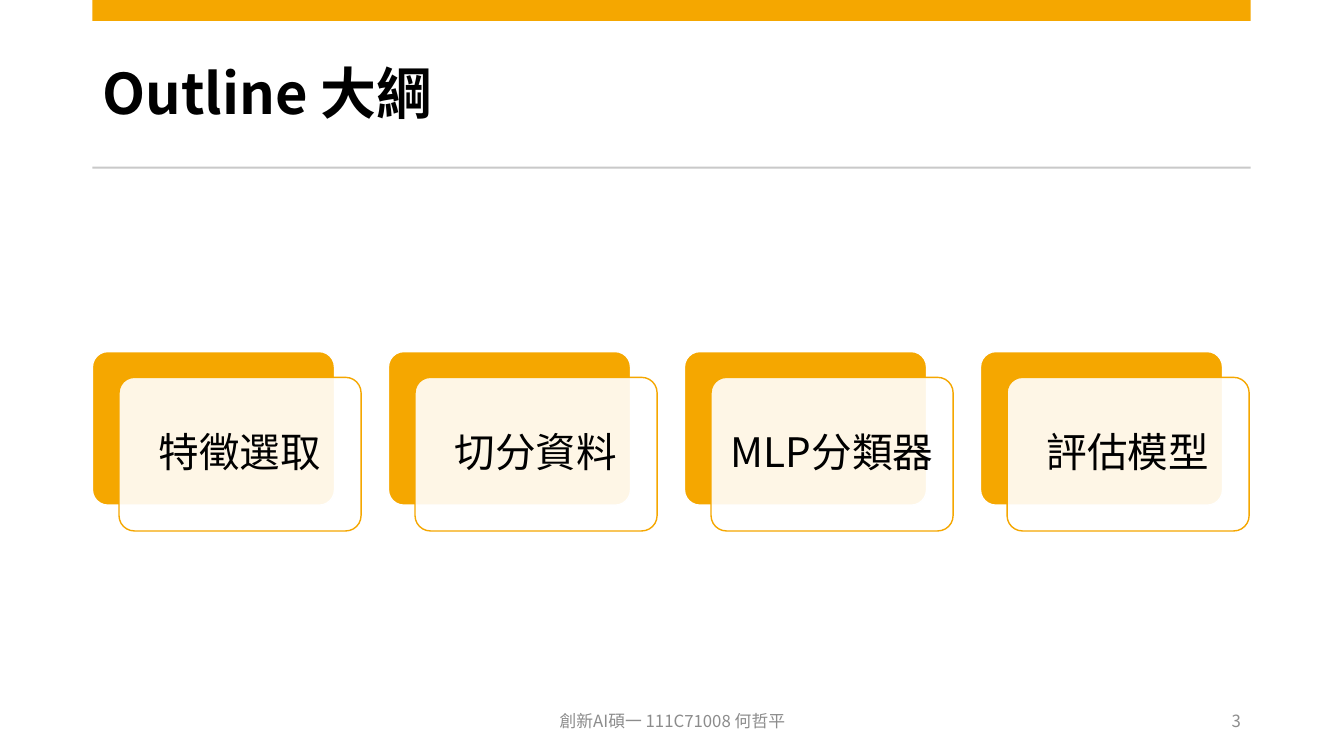
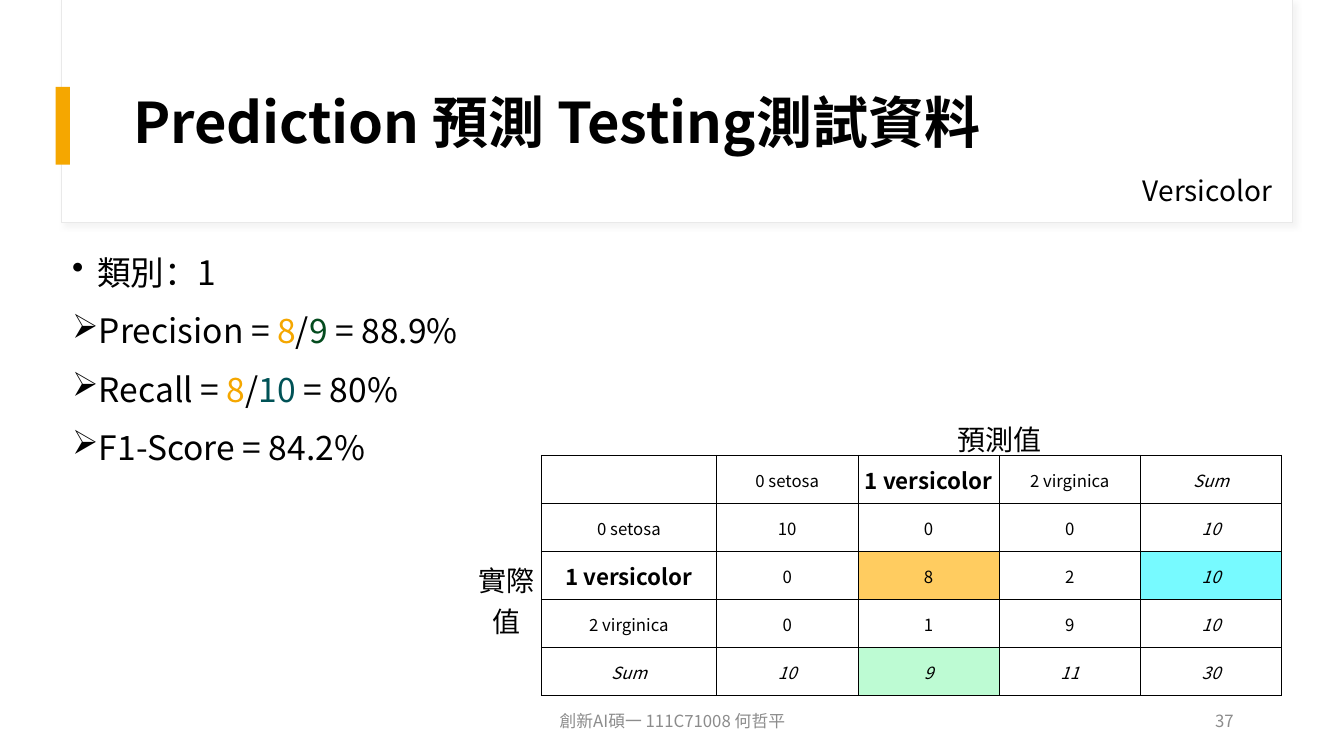
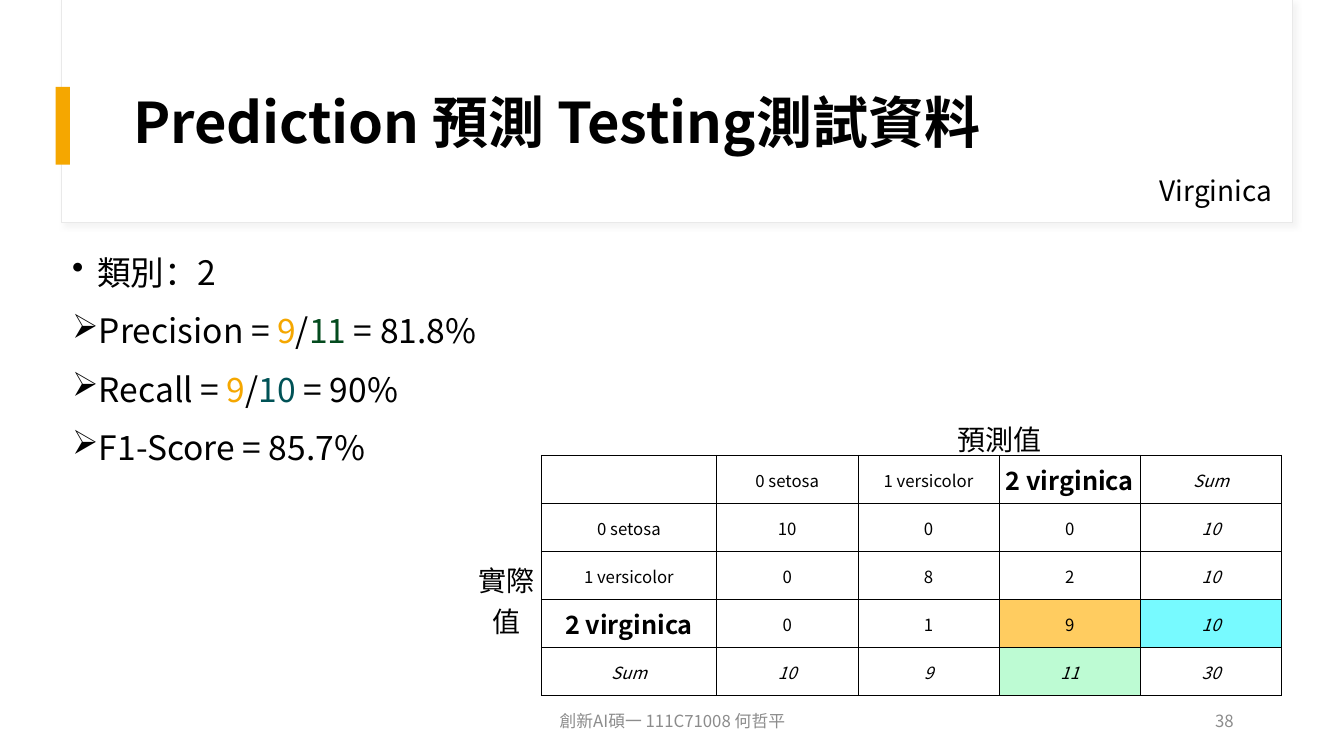
import lxml.etree
import pptx
import pptx.dml.color
import pptx.enum.shapes
import pptx.enum.text
import pptx.oxml.ns
import pptx.util

Cm = pptx.util.Cm
Pt = pptx.util.Pt
qn = pptx.oxml.ns.qn
SHAPE = pptx.enum.shapes.MSO_SHAPE
ALIGN = pptx.enum.text.PP_ALIGN
ANCHOR = pptx.enum.text.MSO_ANCHOR

FONT = "Noto Sans CJK SC"
COLORS = {
    "white": "FFFFFF", "text": "000000", "muted": "8C8C8C",
    "accent": "F5A700", "rule": "C9C9C9", "frame": "E9E9E9",
    "shadow": "D9D9D9", "green": "044B1E", "teal": "005256",
    "hit": "FFCC60", "actual": "77FAFF", "predicted": "BDFBD3",
}
FOOTER = "創新AI碩一 111C71008 何哲平"
STEPS = ["特徵選取", "切分資料", "MLP分類器", "評估模型"]
CLASSES = ["setosa", "versicolor", "virginica"]
CONFUSION = [[10, 0, 0], [0, 8, 2], [0, 1, 9]]
ROW_SUMS = [sum(row) for row in CONFUSION]
COL_SUMS = [sum(col) for col in zip(*CONFUSION)]


def rgb(name):
    return pptx.dml.color.RGBColor.from_string(COLORS[name])


def add_xml(parent, tag, **attrs):
    return lxml.etree.SubElement(parent, qn(tag), attrs)


# Text
def add_run(p, text, size, color="text", bold=False, italic=False):
    r = p.add_run()
    r.text = text
    r.font.size = Pt(size)
    r.font.bold = bold
    r.font.italic = italic
    r.font.color.rgb = rgb(color)
    r.font.name = FONT
    add_xml(r.font._element, "a:ea", typeface=FONT)


def add_text(s, box, text="", size=12, color="text", align=ALIGN.LEFT,
             anchor=ANCHOR.TOP):
    tf = s.shapes.add_textbox(*map(Cm, box)).text_frame
    tf.word_wrap = True
    tf.vertical_anchor = anchor
    p = tf.paragraphs[0]
    p.alignment = align
    if text:
        add_run(p, text, size, color)
    return tf


def add_bullet(p, char, runs):
    p.line_spacing = 1.1
    p.space_before = Pt(10)
    pPr = p._p.get_or_add_pPr()
    pPr.set("marL", str(Cm(0.63)))
    pPr.set("indent", str(-Cm(0.63)))
    add_xml(pPr, "a:buChar", char=char)
    for text, color in runs:
        add_run(p, text, 24, color)


# Shapes
def add_block(s, box, fill, line=None, width=1, kind=SHAPE.RECTANGLE):
    sp = s.shapes.add_shape(kind, *map(Cm, box))
    sp.shadow.inherit = False
    sp.fill.solid()
    sp.fill.fore_color.rgb = rgb(fill)
    if line:
        sp.line.color.rgb = rgb(line)
        sp.line.width = Pt(width)
    else:
        sp.line.fill.background()
    return sp


def add_header_frame(s):
    sp = add_block(s, (1.56, 0, 31.01, 5.61), "white", "frame", 0.75)
    effects = sp.element.spPr.find(qn("a:effectLst"))
    shadow = add_xml(effects, "a:outerShdw", blurRad=str(Pt(4)),
                     dist=str(Pt(3)), dir="2700000", algn="tl", rotWithShape="0")
    color = add_xml(shadow, "a:srgbClr", val=COLORS["shadow"])
    add_xml(color, "a:alpha", val="30000")
    add_block(s, (1.4, 2.19, 0.36, 1.96), "accent")


def add_step(s, left, top, text):
    width, height = 6.1, 3.87
    back = add_block(s, (left, top, width, height), "accent", "white",
                     kind=SHAPE.ROUNDED_RECTANGLE)
    front = add_block(s, (left + 0.67, top + 0.65, width, height), "white",
                      "accent", kind=SHAPE.ROUNDED_RECTANGLE)
    for sp in (back, front):
        sp.adjustments[0] = 0.1
    add_xml(front.element.spPr.find(".//" + qn("a:srgbClr")), "a:alpha", val="90000")
    tf = front.text_frame
    tf.word_wrap = True
    tf.vertical_anchor = ANCHOR.MIDDLE
    tf.margin_left = tf.margin_right = tf.margin_top = tf.margin_bottom = Cm(0.3)
    p = tf.paragraphs[0]
    p.alignment = ALIGN.CENTER
    p.line_spacing = 0.9
    add_run(p, text, 29)


# Slide frame: title, footer and number
def add_slide(prs, title, box, number, right, framed=False):
    s = prs.slides.add_slide(prs.slide_layouts[5])
    if framed:
        add_header_frame(s)
    sp = s.shapes.title
    s.shapes._spTree.append(sp.element)
    sp.left, sp.top, sp.width, sp.height = map(Cm, box)
    tf = sp.text_frame
    tf.word_wrap = True
    tf.auto_size = pptx.enum.text.MSO_AUTO_SIZE.NONE
    tf.vertical_anchor = ANCHOR.MIDDLE
    p = tf.paragraphs[0]
    p.alignment = ALIGN.LEFT
    p.line_spacing = 0.9
    add_run(p, title, 40, bold=True)
    add_text(s, (11.23, 17.66, 11.43, 1.01), FOOTER, 12, "muted",
             ALIGN.CENTER, ANCHOR.MIDDLE)
    add_text(s, (right - 7.5, 17.66, 7.5, 1.01), str(number), 12, "muted",
             ALIGN.RIGHT, ANCHOR.MIDDLE)
    return s


# Confusion matrix
def set_borders(cell, sides):
    tcPr = cell._tc.get_or_add_tcPr()
    for i, side in enumerate("LRTB"):
        ln = add_xml(tcPr, f"a:ln{side}", w=str(Pt(0.5)))
        if side in sides:
            fill = add_xml(ln, "a:solidFill")
            add_xml(fill, "a:srgbClr", val=COLORS["text"])
        else:
            add_xml(ln, "a:noFill")
        tcPr.insert(i, ln)


def format_cell(cell, text, size, fill=None, bold=False, italic=False):
    cell.margin_left = cell.margin_right = cell.margin_top = Cm(0.03)
    cell.margin_bottom = 0
    cell.vertical_anchor = ANCHOR.MIDDLE
    if fill:
        cell.fill.solid()
        cell.fill.fore_color.rgb = rgb(fill)
    else:
        cell.fill.background()
    p = cell.text_frame.paragraphs[0]
    p.alignment = ALIGN.CENTER
    if text:
        add_run(p, text, size, bold=bold, italic=italic)


def add_matrix(s, target, label_size):
    labels = [f"{i} {name}" for i, name in enumerate(CLASSES)] + ["Sum"]
    body = [row + [total] for row, total in zip(CONFUSION, ROW_SUMS)]
    body.append(COL_SUMS + [sum(COL_SUMS)])
    rows = [["", "", "預測值", "", "", ""], ["", ""] + labels]
    rows += [["", label] + [str(v) for v in values]
             for label, values in zip(labels, body)]
    rows[2][0] = "實際值"
    hit, last = target + 2, 5
    fills = {(hit, hit): "hit", (hit, last): "actual", (last, hit): "predicted"}

    widths = [1.73, 4.42] + [3.56] * 4
    heights = [0.98] + [1.21] * 5
    table = s.shapes.add_table(6, 6, Cm(11.91), Cm(10.49), Cm(sum(widths)),
                               Cm(sum(heights))).table
    table.first_row = table.horz_banding = False
    for col, width in zip(table.columns, widths):
        col.width = Cm(width)
    for row, height in zip(table.rows, heights):
        row.height = Cm(height)
    for i, row in enumerate(rows):
        for j, text in enumerate(row):
            cell = table.cell(i, j)
            axis = i == 0 or j == 0
            label = (i, j) in ((1, hit), (hit, 1))
            size = 20 if axis else label_size if label else 12
            format_cell(cell, text, size, fills.get((i, j)), bold=label,
                        italic=not axis and last in (i, j))
            sides = "" if axis else "LT"
            sides += ("R" if i else "") + ("B" if j else "")
            set_borders(cell, sides)
    table.cell(0, 2).merge(table.cell(0, 5))
    table.cell(2, 0).merge(table.cell(5, 0))


# Slides
def outline_slide(prs):
    left, width = 2.33, 29.19
    s = add_slide(prs, "Outline 大綱", (left, 0.94, width, 3), 3, left + width)
    add_block(s, (left, 0, width, 0.53), "accent")
    add_block(s, (left, 4.2, width, 0.05), "rule")
    for i, text in enumerate(STEPS):
        add_step(s, left + i * 7.46, 8.86, text)


def prediction_slide(prs, target, number, label_size):
    s = add_slide(prs, "Prediction 預測 Testing測試資料", (3.1, 1.52, 28.24, 3.28),
                  number, 31.34, framed=True)
    hits = CONFUSION[target][target]
    predicted, actual = COL_SUMS[target], ROW_SUMS[target]
    f1 = 2 * hits / (predicted + actual)
    lines = [
        ("•", [(f"類別：{target}", "text")]),
        ("➢", [("Precision = ", "text"), (str(hits), "accent"), ("/", "text"),
               (str(predicted), "green"), (f" = {hits / predicted:.1%}", "text")]),
        ("➢", [("Recall = ", "text"), (str(hits), "accent"), ("/", "text"),
               (str(actual), "teal"), (f" = {hits / actual:.0%}", "text")]),
        ("➢", [(f"F1-Score = {f1:.1%}", "text")]),
    ]
    tf = add_text(s, (1.57, 6.12, 28.24, 10.26))
    for i, (char, runs) in enumerate(lines):
        add_bullet(tf.add_paragraph() if i else tf.paragraphs[0], char, runs)
    add_text(s, (27.33, 4.24, 4.98, 1.12), CLASSES[target].capitalize(), 20,
             align=ALIGN.RIGHT)
    add_matrix(s, target, label_size)


def main():
    prs = pptx.Presentation()
    prs.slide_width, prs.slide_height = Cm(33.87), Cm(19.05)
    outline_slide(prs)
    prediction_slide(prs, target=1, number=37, label_size=16)
    prediction_slide(prs, target=2, number=38, label_size=18)
    prs.save("out.pptx")


if __name__ == "__main__":
    main()
